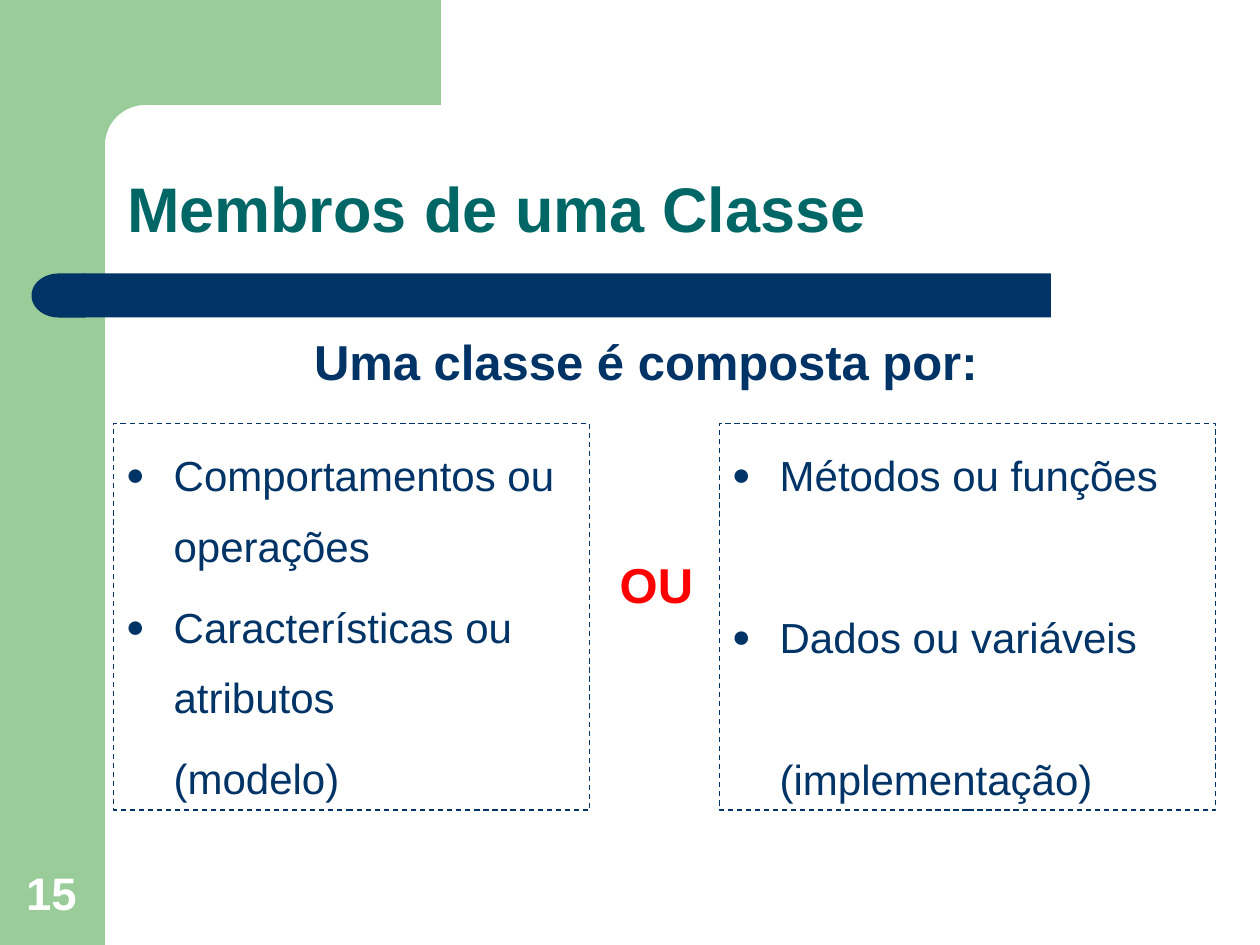
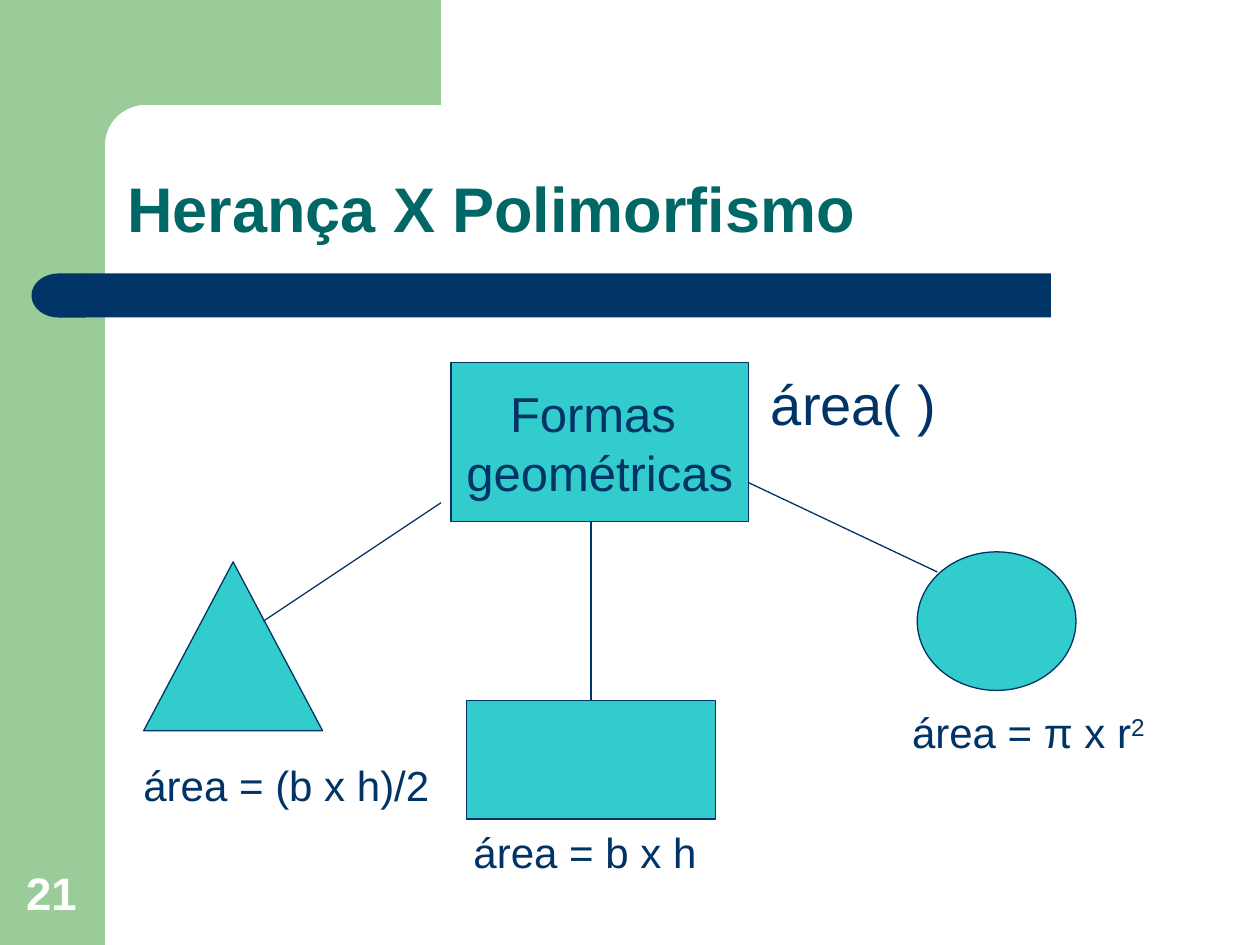
import math

import pptx
import pptx.dml.color
import pptx.enum.dml
import pptx.enum.shapes
import pptx.enum.text
import pptx.oxml.ns
import pptx.util
from lxml import etree

Inches = pptx.util.Inches
Pt = pptx.util.Pt
SHAPE = pptx.enum.shapes.MSO_SHAPE
ALIGN = pptx.enum.text.PP_ALIGN
ANCHOR = pptx.enum.text.MSO_ANCHOR
qn = pptx.oxml.ns.qn

FONT = "Arial"
GREEN, NAVY, TEAL = "99CC99", "003366", "006666"
AQUA, RED, WHITE = "33CCCC", "FF0000", "FFFFFF"
LINE_WIDTH = 0.75
HANG = 0.38
BAND = 5 / 6


def rgb(value):
    """Turn a hex string into a colour."""
    return pptx.dml.color.RGBColor.from_string(value)


def style_shape(sp, fill=None, line=None):
    """Set fill and outline, and remove the shadow."""
    sp.shadow.inherit = False
    if fill:
        sp.fill.solid()
        sp.fill.fore_color.rgb = rgb(fill)
    else:
        sp.fill.background()
    if line:
        sp.line.color.rgb = rgb(line)
        sp.line.width = Pt(LINE_WIDTH)
    else:
        sp.line.fill.background()


def add_shape(s, kind, box, fill=None, line=None):
    """Add a preset shape in a box given in inches."""
    sp = s.shapes.add_shape(kind, *map(Inches, box))
    style_shape(sp, fill, line)
    return sp


def add_run(p, text, size, color=NAVY, bold=False):
    """Add one formatted run to a paragraph."""
    r = p.add_run()
    r.text = text
    r.font.name = FONT
    r.font.size = Pt(size)
    r.font.bold = bold
    r.font.color.rgb = rgb(color)
    return r


def add_text(s, box, text, size, color=NAVY, bold=False, wrap=True,
             anchor=ANCHOR.TOP, align=ALIGN.LEFT):
    """Add a one-paragraph text box and return its paragraph."""
    tf = s.shapes.add_textbox(*map(Inches, box)).text_frame
    tf.word_wrap = wrap
    tf.vertical_anchor = anchor
    p = tf.paragraphs[0]
    p.alignment = align
    add_run(p, text, size, color, bold)
    return p


def add_line(s, start, end):
    """Add a thin straight connector between two points."""
    line = s.shapes.add_connector(pptx.enum.shapes.MSO_CONNECTOR.STRAIGHT,
                                  *map(Inches, start + end))
    line.line.color.rgb = rgb(NAVY)
    line.line.width = Pt(LINE_WIDTH)
    etree.SubElement(line._element.spPr, qn("a:effectLst"))
    return line


def set_indent(p, bulleted):
    """Give a paragraph a left margin and, if wanted, a hanging bullet."""
    pPr = p._p.get_or_add_pPr()
    pPr.set("marL", str(Inches(HANG)))
    pPr.set("indent", str(-Inches(HANG) if bulleted else 0))
    if bulleted:
        color = etree.SubElement(pPr, qn("a:buClr"))
        etree.SubElement(color, qn("a:srgbClr"), val=NAVY)
        etree.SubElement(pPr, qn("a:buSzPct"), val="75000")
        etree.SubElement(pPr, qn("a:buFont"), typeface=FONT)
        etree.SubElement(pPr, qn("a:buChar"), char="●")
    else:
        etree.SubElement(pPr, qn("a:buNone"))


def add_corner(s, box, radius):
    """Draw the top band whose inner corner curves into the side band."""
    x, y, w, h = box
    center = BAND + radius
    curve = [(center - radius * math.sin(math.radians(a)),
              center - radius * math.cos(math.radians(a)))
             for a in range(0, 91, 5)]
    points = [(x + w, y), (x + w, BAND), *curve,
              (BAND, y + h), (x, y + h), (x, y)]
    points = [(Inches(px), Inches(py)) for px, py in points]
    outline = s.shapes.build_freeform(*points[0])
    outline.add_line_segments(points[1:], close=True)
    style_shape(outline.convert_to_shape(), GREEN)


def add_title_bar(s, box):
    """Draw the navy bar with its rounded left end."""
    x, y, w, h = box
    cap = 0.43
    add_shape(s, SHAPE.RECTANGLE, (x + cap - 0.01, y, w - cap + 0.01, h), NAVY)
    end = add_shape(s, SHAPE.FLOWCHART_DELAY, (x, y, cap, h), NAVY)
    end.rotation = 180


def add_frame(prs, title, number):
    """Add a slide with the shared bands, title and number."""
    s = prs.slides.add_slide(prs.slide_layouts[6])
    add_shape(s, SHAPE.RECTANGLE, (0, 0, BAND, 7.5), GREEN)
    add_corner(s, (0.5, 0, 3, 1.28), radius=0.32)
    add_title_bar(s, (0.25, 2.17, 8.09, 0.35))
    add_text(s, (0.11, 6.82, 0.64, 0.53), str(number), 26, WHITE, True,
             anchor=ANCHOR.BOTTOM)
    p = add_text(s, (0.91, 0.91, 8.51, 1.09), title, 36, TEAL, True,
                 anchor=ANCHOR.BOTTOM)
    p.line_spacing = 0.9
    return s


def add_member_list(s, box, items):
    """Fill a dashed box with (text, bulleted, space before) items."""
    sp = add_shape(s, SHAPE.RECTANGLE, box, line=NAVY)
    sp.line.dash_style = pptx.enum.dml.MSO_LINE.DASH
    tf = sp.text_frame
    tf.word_wrap = True
    tf.vertical_anchor = ANCHOR.TOP
    for i, (text, bulleted, before) in enumerate(items):
        p = tf.add_paragraph() if i else tf.paragraphs[0]
        set_indent(p, bulleted)
        p.alignment = ALIGN.LEFT
        p.line_spacing = 1.4
        p.space_before = Pt(before)
        add_run(p, text, 24)


def add_members(s, box):
    """Compare the model and implementation views of class members."""
    x, y, w, h = box
    top, height = y + 0.78, h - 0.78
    add_text(s, (x + 0.02, y, 8.41, 0.69), "Uma classe é composta por:", 28,
             bold=True, align=ALIGN.CENTER)
    add_member_list(s, (x, top, 3.78, height),
                    [("Comportamentos ou operações", True, 0),
                     ("Características ou atributos", True, 6),
                     ("(modelo)", False, 6)])
    add_member_list(s, (x + w - 3.94, top, 3.94, height),
                    [("Métodos ou funções", True, 0),
                     ("Dados ou variáveis", True, 52),
                     ("(implementação)", False, 41)])
    add_text(s, (x + 3.92, top + 0.99, 0.78, 0.57), "OU", 28, RED, True,
             wrap=False)


def add_hierarchy(s, box):
    """Draw the base shape, its three subclasses and their area formulas."""
    x, y, w, h = box
    base = add_shape(s, SHAPE.RECTANGLE, (x + 2.54, y, 2.36, 1.26), AQUA, NAVY)
    tf = base.text_frame
    tf.word_wrap = False
    tf.vertical_anchor = ANCHOR.MIDDLE
    for i, text in enumerate(("Formas ", "geométricas")):
        p = tf.add_paragraph() if i else tf.paragraphs[0]
        p.alignment = ALIGN.CENTER
        add_run(p, text, 28)

    add_shape(s, SHAPE.ISOSCELES_TRIANGLE, (x + 0.1, y + 1.58, 1.42, 1.34),
              AQUA, NAVY)
    rectangle = add_shape(s, SHAPE.RECTANGLE,
                          (x + 2.66, y + 2.68, 1.98, 0.94), AQUA, NAVY)
    add_shape(s, SHAPE.OVAL, (x + 6.24, y + 1.5, 1.26, 1.1), AQUA, NAVY)

    add_line(s, (x + 2.46, y + 1.11), (x + 1.05, y + 2.05))
    stem = add_line(s, (x + 3.65, y + 1.26), (x + 3.65, y + 2.68))
    stem.end_connect(rectangle, 0)
    add_line(s, (x + 4.9, y + 0.95), (x + 6.4, y + 1.66))

    add_text(s, (x + 4.98, y, 1.51, 0.64), "área( )", 32, wrap=False)
    formulas = [((x, y + 3.1, 2.47, 0.5), "área = (b x h)/2"),
                ((x + 2.62, y + h - 0.5, 1.97, 0.5), "área = b x h"),
                ((x + 6.1, y + 2.68, w - 6.1, 0.5), "área = π x r")]
    for place, text in formulas:
        p = add_text(s, place, text, 24, wrap=False)
    power = add_run(p, "2", 24)
    power._r.get_or_add_rPr().set("baseline", "30000")


def main():
    """Build the two slides and save them."""
    prs = pptx.Presentation()
    prs.slide_width, prs.slide_height = Inches(10), Inches(7.5)
    add_members(add_frame(prs, "Membros de uma Classe", 15),
                (0.9, 2.58, 8.75, 3.85))
    add_hierarchy(add_frame(prs, "Herança X Polimorfismo", 21),
                  (1.04, 2.88, 8.4, 4.13))
    prs.save("out.pptx")


if __name__ == "__main__":
    main()
